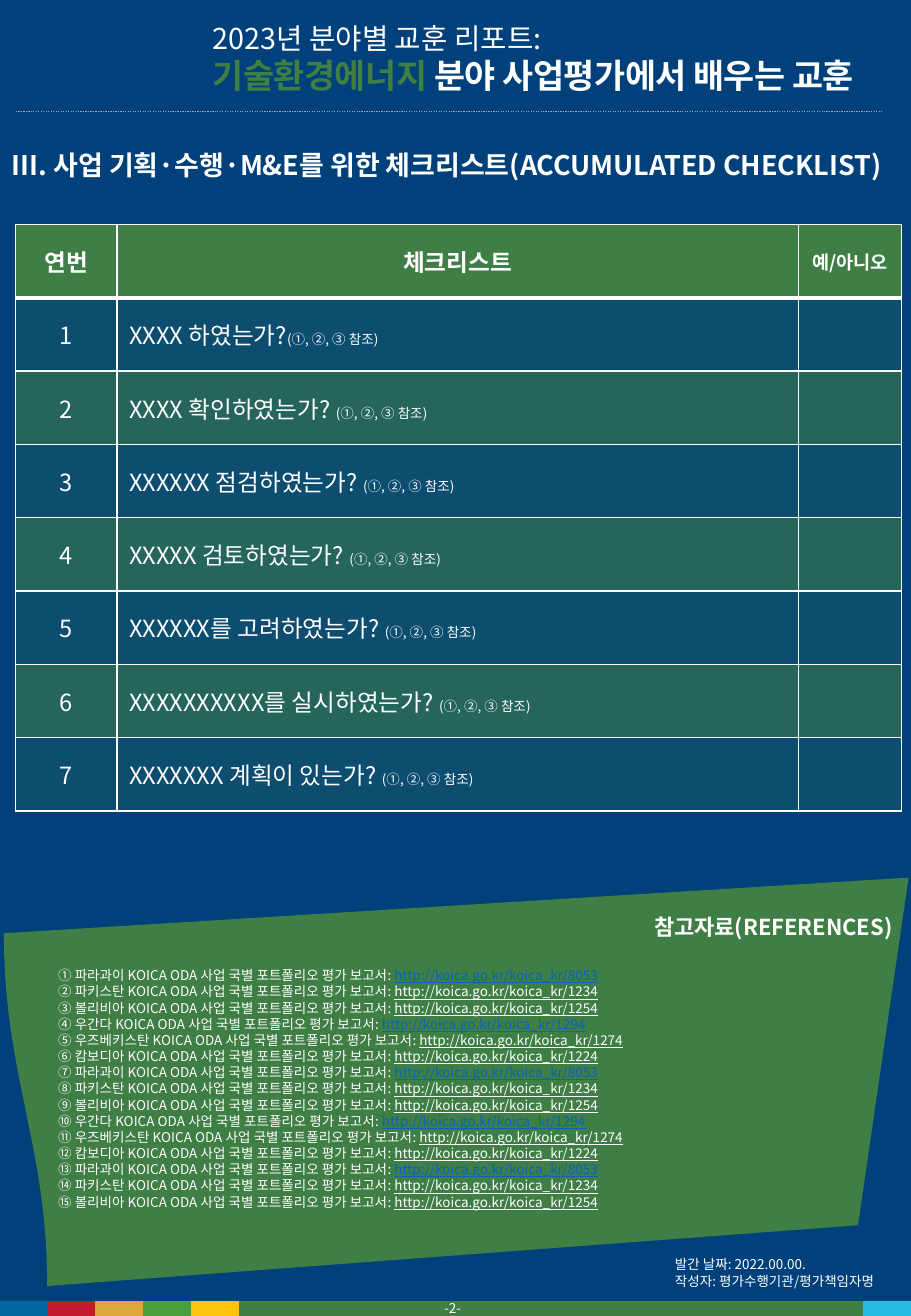
from itertools import cycle, islice

from lxml import etree
from pptx import Presentation
from pptx.dml.color import RGBColor
from pptx.enum import dml, shapes, text
from pptx.oxml import ns
from pptx.util import Pt

FONT = "Noto Sans CJK KR"
NAVY = RGBColor(0x00, 0x41, 0x7C)
WHITE = RGBColor(0xFF, 0xFF, 0xFF)
GRAY = RGBColor(0xA5, 0xA5, 0xA5)
GREEN = RGBColor(0x3F, 0x7E, 0x44)
LINK = RGBColor(0x05, 0x63, 0xC1)
BLUE = RGBColor(0x00, 0x68, 0x9D)
RED = RGBColor(0xC5, 0x19, 0x2D)
GOLD = RGBColor(0xDD, 0xA6, 0x3A)
LEAF = RGBColor(0x4C, 0x9F, 0x38)
YELLOW = RGBColor(0xFC, 0xC3, 0x0B)
SKY = RGBColor(0x26, 0xBD, 0xE2)
WIDE, HIGH = 540, 779.76
PLAIN = "{2D5ABB26-0587-4C30-8999-92F81FD0307C}"
CHECKS = ["XXXX 하였는가?", "XXXX 확인하였는가? ", "XXXXXX 점검하였는가? ",
          "XXXXX 검토하였는가? ", "XXXXXX를 고려하였는가? ",
          "XXXXXXXXXX를 실시하였는가? ", "XXXXXXX 계획이 있는가? "]
REPORTS = [("파라과이", 8053, LINK), ("파키스탄", 1234, WHITE),
           ("볼리비아", 1254, WHITE), ("우간다", 1294, LINK),
           ("우즈베키스탄", 1274, WHITE), ("캄보디아", 1224, WHITE)]
MARKS = "①②③④⑤⑥⑦⑧⑨⑩⑪⑫⑬⑭⑮"


def sub(node, tag, **attrs):
    """Append a drawing element to a node."""
    return etree.SubElement(node, ns.qn("a:" + tag), **attrs)


def style(para, size, bold=False, align=text.PP_ALIGN.LEFT):
    """Format a whole paragraph in the slide font."""
    para.alignment = align
    para.space_before = Pt(0)
    font = para.font
    font.size, font.bold, font.name = Pt(size), bold, FONT
    font.color.rgb = WHITE
    sub(para._p.pPr.find(ns.qn("a:defRPr")), "ea", typeface=FONT)


def add_run(para, words):
    """Add a run and return it."""
    run = para.add_run()
    run.text = words
    return run


def add_para(frame, index):
    """Return the first paragraph or a new one."""
    return frame.add_paragraph() if index else frame.paragraphs[0]


def place(shape, box):
    """Move a shape to a box in points."""
    shape.left, shape.top, shape.width, shape.height = map(Pt, box)


def set_frame(frame):
    """Make a text frame wrap from its top at a fixed size."""
    frame.word_wrap = True
    frame.auto_size = text.MSO_AUTO_SIZE.NONE
    frame.vertical_anchor = text.MSO_ANCHOR.TOP


def add_label(slide, box, lines, size, bold=False):
    """Add a text box with one paragraph per line."""
    frame = slide.shapes.add_textbox(*map(Pt, box)).text_frame
    set_frame(frame)
    for i, line in enumerate(lines):
        para = add_para(frame, i)
        para.text = line
        style(para, size, bold)


def add_grid(slide, box, rows, widths):
    """Add an unstyled table with equal rows."""
    grid = slide.shapes.add_table(rows, len(widths), *map(Pt, box)).table
    grid.first_row = grid.horz_banding = False
    grid._tbl.tblPr.find(ns.qn("a:tableStyleId")).text = PLAIN
    for col, width in zip(grid.columns, widths):
        col.width = Pt(width)
    for row in grid.rows:
        row.height = Pt(box[3] / rows)
    return grid


def fill_cell(cell, color, alpha=100):
    """Fill a cell with a color of the given opacity."""
    cell.fill.solid()
    cell.fill.fore_color.rgb = color
    if alpha < 100:
        paint = cell._tc.tcPr.find(ns.qn("a:solidFill"))[0]
        sub(paint, "alpha", val=str(alpha * 1000))


def add_borders(cell, top, bottom):
    """Draw white borders around a cell."""
    props = cell._tc.get_or_add_tcPr()
    for side, width in zip("LRTB", (1, 1, top, bottom)):
        line = sub(props, "ln" + side, w=str(Pt(width)))
        sub(sub(line, "solidFill"), "srgbClr", val=str(WHITE))


def add_header(slide, box):
    """Place the report title above a dotted rule."""
    left, top, width, height = box
    title = slide.shapes.title
    place(title, (left + 118.8, top, width - 124.6, height))
    set_frame(title.text_frame)
    first, second = (add_para(title.text_frame, i) for i in range(2))
    add_run(first, "2023년 분야별 교훈 리포트:")
    style(first, 17)
    field = add_run(second, "기술환경에너지")
    field.font.color.rgb = GREEN
    rest = add_run(second, " 분야 사업평가에서 배우는 교훈")
    for run in (field, rest):
        run._r.get_or_add_rPr().set("spc", "-30")
    style(second, 20, True)
    y = Pt(top + 57.6)
    rule = slide.shapes.add_connector(shapes.MSO_CONNECTOR.STRAIGHT,
                                      Pt(left + 9.4), y, Pt(left + 522.7), y)
    rule.line.color.rgb, rule.line.width = GRAY, Pt(0.75)
    rule.line.dash_style = dml.MSO_LINE.ROUND_DOT
    sub(rule._element.spPr, "effectLst")


def add_checks(slide, box):
    """Build the checklist table."""
    grid = add_grid(slide, box, len(CHECKS) + 1, (60, 404, 61))
    rows = [("연번", "체크리스트", "예/아니오")]
    rows += [(str(i), check, "") for i, check in enumerate(CHECKS, 1)]
    for r, row in enumerate(rows):
        for c, words in enumerate(row):
            cell = grid.cell(r, c)
            cell.vertical_anchor = text.MSO_ANCHOR.MIDDLE
            add_borders(cell, 3 if r == 1 else 1, 1 if r else 3)
            fill_cell(cell, GREEN, (60, 20)[r % 2] if r else 100)
            para = cell.text_frame.paragraphs[0]
            if words:
                add_run(para, words)
            if r and c == 1:
                add_run(para, "(①, ②, ③ 참조)").font.size = Pt(8)
            align = text.PP_ALIGN.LEFT if r and c else text.PP_ALIGN.CENTER
            style(para, 11 if (r, c) == (0, 2) else 14, not r, align)


def add_panel(slide, box):
    """Draw the slanted green panel with a curved left side."""
    left, top, width, height = box
    bend = [(25.7, 242), (25.7, 157), (0, 118), (0, 33)]
    points = [(width - 30, height - 36)]
    for t in (i / 24 for i in range(25)):
        parts = ((1 - t) ** 3, 3 * t * (1 - t) ** 2, 3 * t * t * (1 - t), t ** 3)
        points.append([sum(k * p[axis] for k, p in zip(parts, bend))
                       for axis in (0, 1)])
    pen = slide.shapes.build_freeform(Pt(left + width), Pt(top))
    pen.add_line_segments([(Pt(left + x), Pt(top + y)) for x, y in points])
    panel = pen.convert_to_shape()
    panel.shadow.inherit = False
    panel.fill.solid()
    panel.fill.fore_color.rgb = GREEN
    panel.line.fill.background()
    slide.shapes._spTree.insert(2, panel._element)


def add_refs(slide, box):
    """Place the references on their panel."""
    left, top, width, height = box
    add_panel(slide, box)
    add_label(slide, (left + 378.6, top + 18, 156.2, 23),
              ["참고자료(REFERENCES)"], 13, True)
    body = slide.placeholders[1]
    place(body, (left + 25, top + 49.5, 512, 163))
    set_frame(body.text_frame)
    items = islice(cycle(REPORTS), len(MARKS))
    for i, (mark, (land, code, color)) in enumerate(zip(MARKS, items)):
        para = add_para(body.text_frame, i)
        add_run(para, f"{mark} {land} KOICA ODA 사업 국별 포트폴리오 평가 보고서: ")
        link = add_run(para, f"http://koica.go.kr/koica_kr/{code}")
        link.font.underline = True
        link.font.color.rgb = color
        props = para._p.get_or_add_pPr()
        props.set("marL", "0")
        props.set("indent", "0")
        sub(props, "buNone")
        style(para, 8)


def add_footer(slide, box):
    """Place the credits, color strip and page number."""
    left, top, width, height = box
    add_label(slide, (left + 393, top - 29.7, 145, 27),
              ["발간 날짜: 2022.00.00.", "작성자: 평가수행기관/평가책임자명"], 8)
    unit = 28.3
    widths = [unit] * 5 + [width - 6 * unit, unit]
    strip = add_grid(slide, box, 1, widths)
    colors = (BLUE, RED, GOLD, LEAF, YELLOW, GREEN, SKY)
    for cell, color in zip(strip.rows[0].cells, colors):
        cell.margin_top = cell.margin_bottom = 0
        fill_cell(cell, color)
        para = cell.text_frame.paragraphs[0]
        style(para, 1)
        para._p.get_or_add_endParaRPr().set("sz", "100")
    add_label(slide, (left + 256.3, top - 4, 33, 17), ["-2-"], 8)


def main():
    """Build and save the checklist slide."""
    deck = Presentation()
    deck.slide_width, deck.slide_height = Pt(WIDE), Pt(HIGH)
    slide = deck.slides.add_slide(deck.slide_layouts[1])
    slide.background.fill.solid()
    slide.background.fill.fore_color.rgb = NAVY
    add_header(slide, (0, 8.64, WIDE, 52))
    add_label(slide, (0, 84.2, WIDE, 46), [
        "III. 사업 기획·수행·M&E를 위한 체크리스트(ACCUMULATED CHECKLIST)"], 16, True)
    add_checks(slide, (9.3, 133, 525, 347.6))
    add_refs(slide, (2.3, 520, 536.3, 242))
    add_footer(slide, (0, 770.6, WIDE, 9.16))
    deck.save("out.pptx")


if __name__ == "__main__":
    main()
